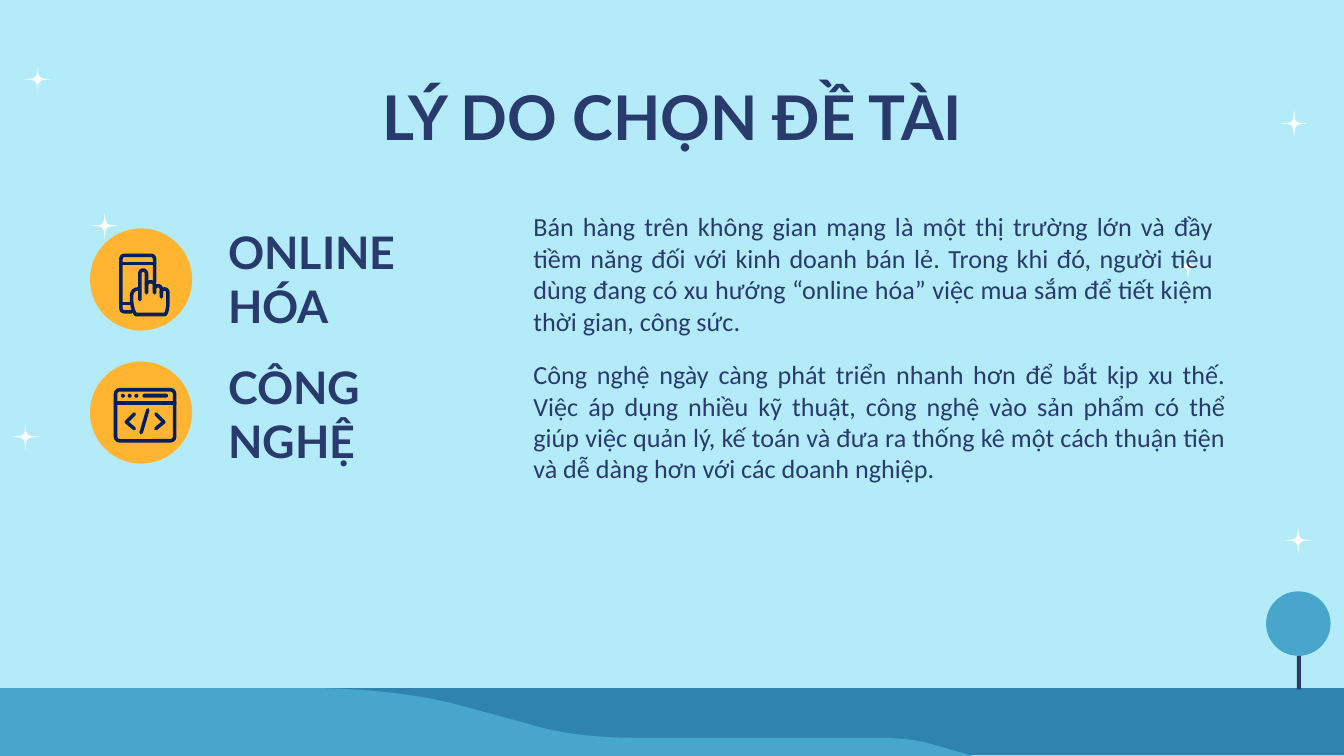
from dataclasses import dataclass

from pptx import Presentation
from pptx.dml.color import RGBColor
from pptx.enum.shapes import MSO_SHAPE
from pptx.enum.text import MSO_ANCHOR, PP_ALIGN
from pptx.oxml.ns import qn
from pptx.util import Inches, Pt

RECTANGLE, OVAL = MSO_SHAPE.RECTANGLE, MSO_SHAPE.OVAL
ROUNDED = MSO_SHAPE.ROUNDED_RECTANGLE
TOP, MIDDLE = MSO_ANCHOR.TOP, MSO_ANCHOR.MIDDLE
LEFT, CENTER, JUSTIFY = PP_ALIGN.LEFT, PP_ALIGN.CENTER, PP_ALIGN.JUSTIFY


@dataclass(frozen=True)
class Theme:
    sky: str = "B4EBF9"
    ground: str = "2E84AF"
    hill: str = "48A6CC"
    navy: str = "293B6D"
    icon: str = "002060"
    badge: str = "FFB531"
    star: str = "FFFFFF"
    heading_font: str = "Lato"
    body_font: str = "Calibri"
    title_size: int = 33
    heading_size: int = 24
    body_size: int = 14
    icon_stroke: float = 1.9


THEME = Theme()

STAR_CENTERS = [(0.19, 3.25), (0.78, 1.68), (0.28, 0.59),
                (9.66, 4.02), (8.84, 1.98), (9.63, 0.92)]

# Outlines: a pair is a straight step, six numbers are a cubic curve
HILL = [(0, 5.12), (0, 5.63), (7.26, 5.63), (6.94, 5.54),
        (6.83, 5.5, 6.66, 5.49, 6.5, 5.49), (4.73, 5.49),
        (4.45, 5.49, 4.18, 5.46, 3.98, 5.4), (3.43, 5.25),
        (3.14, 5.17, 2.73, 5.12, 2.32, 5.12)]
PHONE = [
    [(0.98, 2.32), (0.93, 2.32), (0.91, 2.32, 0.9, 2.31, 0.9, 2.29),
     (0.9, 1.93), (0.9, 1.91, 0.91, 1.9, 0.93, 1.9), (1.12, 1.9),
     (1.14, 1.9, 1.15, 1.91, 1.15, 1.93), (1.15, 2.1)],
    [(0.9, 1.96), (1.15, 1.96)],
    [(0.9, 2.26), (0.98, 2.26)],
]
HAND = [
    [(1.04, 2.23), (1.04, 2.04), (1.04, 2, 1.09, 2, 1.09, 2.04), (1.09, 2.18)],
    [(1.09, 2.12), (1.09, 2.09, 1.15, 2.09, 1.15, 2.12), (1.15, 2.18)],
    [(1.15, 2.15), (1.15, 2.12, 1.2, 2.12, 1.2, 2.15), (1.2, 2.21)],
    [(1.2, 2.18), (1.2, 2.14, 1.25, 2.14, 1.25, 2.18), (1.25, 2.23),
     (1.25, 2.27, 1.25, 2.31, 1.23, 2.34), (1.01, 2.34),
     (0.99, 2.31, 0.98, 2.27, 0.98, 2.23), (0.98, 2.2),
     (0.98, 2.17, 1, 2.15, 1.03, 2.15)],
]
CODE = [
    [(0.86, 3), (1.3, 3)],
    [(1, 3.08), (0.94, 3.14), (1, 3.19)],
    [(1.16, 3.08), (1.22, 3.14), (1.16, 3.19)],
    [(1.1, 3.05), (1.05, 3.22)],
]

FIRST_TEXT = ("Bán hàng trên không gian mạng là một thị trường lớn và đầy tiềm năng "
              "đối với kinh doanh bán lẻ. Trong khi đó, người tiêu dùng đang có xu "
              "hướng “online hóa” việc mua sắm để tiết kiệm thời gian, công sức.")
SECOND_TEXT = ("Công nghệ ngày càng phát triển nhanh hơn để bắt kịp xu thế. Việc áp "
               "dụng nhiều kỹ thuật, công nghệ vào sản phẩm có thể giúp việc quản lý, "
               "kế toán và đưa ra thống kê một cách thuận tiện và dễ dàng hơn với các "
               "doanh nghiệp.")
# Heading, heading top and width, body text, body top and width, badge top
REASONS = [("ONLINE HÓA", 1.71, 2.2, FIRST_TEXT, 1.63, 5.26, 1.7),
           ("CÔNG NGHỆ", 2.71, 2.15, SECOND_TEXT, 2.73, 5.35, 2.69)]


def color(code):
    return RGBColor.from_string(code)


def paint(shape, fill):
    shape.shadow.inherit = False
    shape.fill.solid()
    shape.fill.fore_color.rgb = color(fill)
    shape.line.fill.background()


def outline(shape):
    shape.shadow.inherit = False
    shape.fill.background()
    shape.line.color.rgb = color(THEME.icon)
    shape.line.width = Pt(THEME.icon_stroke)
    shape._element.spPr.find(qn("a:ln")).set("cap", "rnd")


def add_preset(slide, kind, left, top, width, height):
    return slide.shapes.add_shape(
        kind, Inches(left), Inches(top), Inches(width), Inches(height))


def add_filled(slide, kind, box, fill):
    shape = add_preset(slide, kind, *box)
    paint(shape, fill)
    return shape


def flatten(steps, pieces=12):
    """Turn straight steps and cubic curves into a list of points."""
    points = []
    for step in steps:
        if len(step) == 2:
            points.append(step)
            continue
        controls = [points[-1], step[:2], step[2:4], step[4:]]
        for piece in range(1, pieces + 1):
            t = piece / pieces
            weights = ((1 - t) ** 3, 3 * t * (1 - t) ** 2, 3 * t * t * (1 - t), t ** 3)
            points.append(tuple(
                sum(weight * point[axis] for weight, point in zip(weights, controls))
                for axis in (0, 1)))
    return points


def add_freeform(slide, steps, closed):
    points = [(Inches(x), Inches(y)) for x, y in flatten(steps)]
    builder = slide.shapes.build_freeform(*points[0])
    builder.add_line_segments(points[1:], close=closed)
    return builder.convert_to_shape()


def add_star(slide, center_x, center_y, radius=0.1):
    arm = [(0, -1), (0.05, -0.5), (0.05, -0.24, 0.24, -0.05, 0.5, -0.05)]
    steps = []
    for cosine, sine in ((1, 0), (0, 1), (-1, 0), (0, -1)):
        for step in arm:
            turned = []
            for x, y in zip(step[::2], step[1::2]):
                turned += [center_x + radius * (x * cosine - y * sine),
                           center_y + radius * (x * sine + y * cosine)]
            steps.append(tuple(turned))
    paint(add_freeform(slide, steps, True), THEME.star)


def add_text(slide, box, text, font, size, bold=False, align=LEFT, anchor=MIDDLE):
    shape = slide.shapes.add_textbox(*(Inches(length) for length in box))
    frame = shape.text_frame
    frame.word_wrap = True
    frame.vertical_anchor = anchor
    frame.margin_left = frame.margin_right = Inches(0.1)
    frame.margin_top = frame.margin_bottom = Inches(0.1)
    frame.text = text
    paragraph = frame.paragraphs[0]
    paragraph.alignment = align
    for run in paragraph.runs:
        run.font.name = font
        run.font.size = Pt(size)
        run.font.bold = bold
        run.font.color.rgb = color(THEME.navy)


def add_scenery(slide):
    for center in STAR_CENTERS:
        add_star(slide, *center)
    add_filled(slide, RECTANGLE, (0, 5.12, 10.02, 0.5), THEME.ground)
    add_filled(slide, RECTANGLE, (9.65, 4.58, 0.03, 0.55), THEME.navy)
    add_filled(slide, OVAL, (9.42, 4.4, 0.48, 0.48), THEME.hill)
    paint(add_freeform(slide, HILL, True), THEME.hill)


def add_icons(slide):
    for stroke in PHONE + HAND + CODE:
        outline(add_freeform(slide, stroke, False))
    # Browser window with three dots and an address bar
    window = add_preset(slide, ROUNDED, 0.86, 2.9, 0.44, 0.38)
    window.adjustments[0] = 0.08
    outline(window)
    for index in range(3):
        add_filled(slide, OVAL, (0.9 + 0.05 * index, 2.93, 0.03, 0.03), THEME.icon)
    bar = add_filled(slide, ROUNDED, (1.06, 2.93, 0.19, 0.03), THEME.icon)
    bar.adjustments[0] = 0.5


def main():
    # Widescreen slide, 16 by 9
    presentation = Presentation()
    presentation.slide_width = Inches(10)
    presentation.slide_height = Inches(10) * 9 // 16
    slide = presentation.slides.add_slide(presentation.slide_layouts[6])
    slide.background.fill.solid()
    slide.background.fill.fore_color.rgb = color(THEME.sky)

    add_scenery(slide)
    add_text(slide, (0.79, 0.49, 8.43, 0.63), "LÝ DO CHỌN ĐỀ TÀI", THEME.heading_font,
             THEME.title_size, bold=True, align=CENTER, anchor=TOP)
    # One row per reason: badge, heading and explanation
    for (heading, heading_top, heading_width,
         body, body_top, body_width, badge_top) in REASONS:
        add_filled(slide, OVAL, (0.67, badge_top, 0.76, 0.76), THEME.badge)
        add_text(slide, (1.6, heading_top, heading_width, 0.73), heading,
                 THEME.heading_font, THEME.heading_size, bold=True)
        add_text(slide, (3.87, body_top, body_width, 0.81), body,
                 THEME.body_font, THEME.body_size, align=JUSTIFY)
    add_icons(slide)
    presentation.save("out.pptx")


if __name__ == "__main__":
    main()
